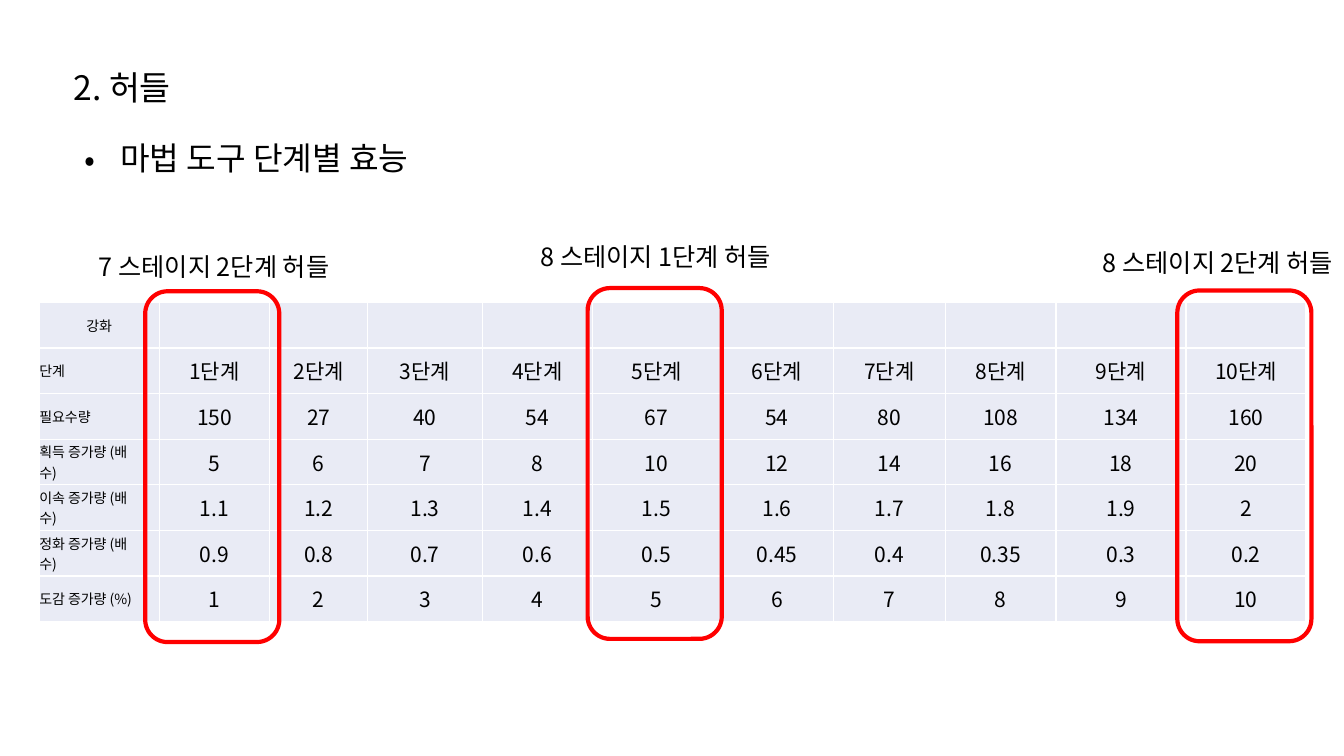
from lxml import etree
from pptx import Presentation
from pptx.dml.color import RGBColor
from pptx.enum.shapes import MSO_SHAPE
from pptx.enum.text import MSO_ANCHOR, MSO_AUTO_SIZE, PP_ALIGN
from pptx.oxml.ns import qn
from pptx.util import Cm, Pt

ROUNDED = MSO_SHAPE.ROUNDED_RECTANGLE
MIDDLE = MSO_ANCHOR.MIDDLE
GROW = MSO_AUTO_SIZE.SHAPE_TO_FIT_TEXT
LEFT, CENTER = PP_ALIGN.LEFT, PP_ALIGN.CENTER

FONT = "Noto Sans CJK KR"
BLACK = RGBColor(0x00, 0x00, 0x00)
WHITE = RGBColor(0xFF, 0xFF, 0xFF)
RED = RGBColor(0xFF, 0x00, 0x00)
PALE_BLUE = RGBColor(0xE9, 0xEB, 0xF5)

TITLE_ONLY = 5
STEPS = range(1, 11)
COLUMN_WIDTHS = [3.02, 2.79, 2.46, 2.9, 2.77, 3.23, 2.84, 2.82, 2.79, 3.28, 3.02]
ROW_HEIGHT = 1.15
LABEL_GAP = 0.45  # keeps row labels clear of the first highlight
ROWS = [
    ["강화"] + [""] * len(STEPS),
    ["단계"] + [f"{step}단계" for step in STEPS],
    ["필요수량", 150, 27, 40, 54, 67, 54, 80, 108, 134, 160],
    ["획득 증가량 (배수)", 5, 6, 7, 8, 10, 12, 14, 16, 18, 20],
    ["이속 증가량 (배수)", 1.1, 1.2, 1.3, 1.4, 1.5, 1.6, 1.7, 1.8, 1.9, 2],
    ["정화 증가량 (배수)", 0.9, 0.8, 0.7, 0.6, 0.5, 0.45, 0.4, 0.35, 0.3, 0.2],
    ["도감 증가량 (%)", *STEPS],
]
# Hurdle label, label left and top, frame left and top (cm)
HURDLES = [
    ("8 스테이지 1단계 허들", 12.73, 5.94, 14.81, 7.26),
    ("8 스테이지 2단계 허들", 26.9, 6.1, 29.67, 7.32),
    ("7 스테이지 2단계 허들", 1.6, 6.2, 3.66, 7.34),
]


def write(frame, text, size, align=LEFT):
    para = frame.paragraphs[0]
    para.text = text
    para.alignment = align
    para.font.size = Pt(size)
    para.font.name = FONT
    para.font.color.rgb = BLACK
    properties = para._p.get_or_add_pPr()
    east_asian = etree.SubElement(properties.find(qn("a:defRPr")), qn("a:ea"))
    east_asian.set("typeface", FONT)
    return para


def place(box, left, top, width, height):
    box.left, box.top = Cm(left), Cm(top)
    box.width, box.height = Cm(width), Cm(height)


def fill_line_box(box, text, size, align=LEFT):
    """Write one line of text, centred vertically in its box."""
    frame = box.text_frame
    frame.word_wrap = True
    frame.auto_size = GROW
    frame.vertical_anchor = MIDDLE
    frame.margin_top = frame.margin_bottom = 0
    return write(frame, text, size, align)


def add_line_box(slide, text, size, left, top, width, height, align=LEFT):
    box = slide.shapes.add_textbox(Cm(left), Cm(top), Cm(width), Cm(height))
    return fill_line_box(box, text, size, align)


def add_bullet(para, margin, hanging):
    properties = para._p.get_or_add_pPr()
    properties.set("marL", str(Cm(margin)))
    properties.set("indent", str(-Cm(hanging)))
    font = etree.Element(qn("a:buFont"), typeface=FONT)
    mark = etree.Element(qn("a:buChar"), char="•")
    properties.insert(0, font)
    properties.insert(1, mark)


def add_borders(cell):
    properties = cell._tc.get_or_add_tcPr()
    for side in ("lnL", "lnR", "lnT", "lnB"):
        line = etree.SubElement(properties, qn(f"a:{side}"), w=str(Pt(1)))
        fill = etree.SubElement(line, qn("a:solidFill"))
        etree.SubElement(fill, qn("a:srgbClr"), val=str(WHITE))


def format_cell(cell, text, size, align):
    add_borders(cell)
    cell.fill.solid()
    cell.fill.fore_color.rgb = PALE_BLUE
    cell.vertical_anchor = MIDDLE
    cell.margin_left = cell.margin_top = cell.margin_bottom = 0
    cell.margin_right = Cm(LABEL_GAP) if align == LEFT else 0
    write(cell.text_frame, text, size, align)


def add_effect_table(slide, left, top):
    table = slide.shapes.add_table(
        len(ROWS), len(COLUMN_WIDTHS), Cm(left), Cm(top),
        Cm(sum(COLUMN_WIDTHS)), Cm(ROW_HEIGHT * len(ROWS))).table
    table.first_row = table.horz_banding = False
    for column, width in zip(table.columns, COLUMN_WIDTHS):
        column.width = Cm(width)
    for row_index, values in enumerate(ROWS):
        table.rows[row_index].height = Cm(ROW_HEIGHT)
        for column_index, value in enumerate(values):
            is_label = column_index == 0
            size = 10 if is_label else 15
            align = LEFT if is_label and row_index > 0 else CENTER
            format_cell(table.cell(row_index, column_index), str(value), size, align)


def add_highlight(slide, left, top):
    frame = slide.shapes.add_shape(ROUNDED, Cm(left), Cm(top), Cm(3.38), Cm(8.84))
    frame.shadow.inherit = False
    frame.fill.background()
    frame.line.color.rgb = RED
    frame.line.width = Pt(3)


def main():
    deck = Presentation()
    deck.slide_width, deck.slide_height = Cm(33.87), Cm(19.05)
    slide = deck.slides.add_slide(deck.slide_layouts[TITLE_ONLY])

    title = slide.shapes.title
    place(title, 1.6, 1.57, 4.9, 1.27)
    fill_line_box(title, "2. 허들", 24)
    subtitle = add_line_box(slide, "마법 도구 단계별 효능", 23, 1.6, 3.35, 30.48, 1.24)
    add_bullet(subtitle, 1.18, 0.9)

    add_effect_table(slide, 0.99, 7.62)
    for label, label_left, label_top, frame_left, frame_top in HURDLES:
        add_highlight(slide, frame_left, frame_top)
        add_line_box(slide, label, 18, label_left, label_top, 7.59, 1.02, CENTER)

    deck.save("out.pptx")


if __name__ == "__main__":
    main()
